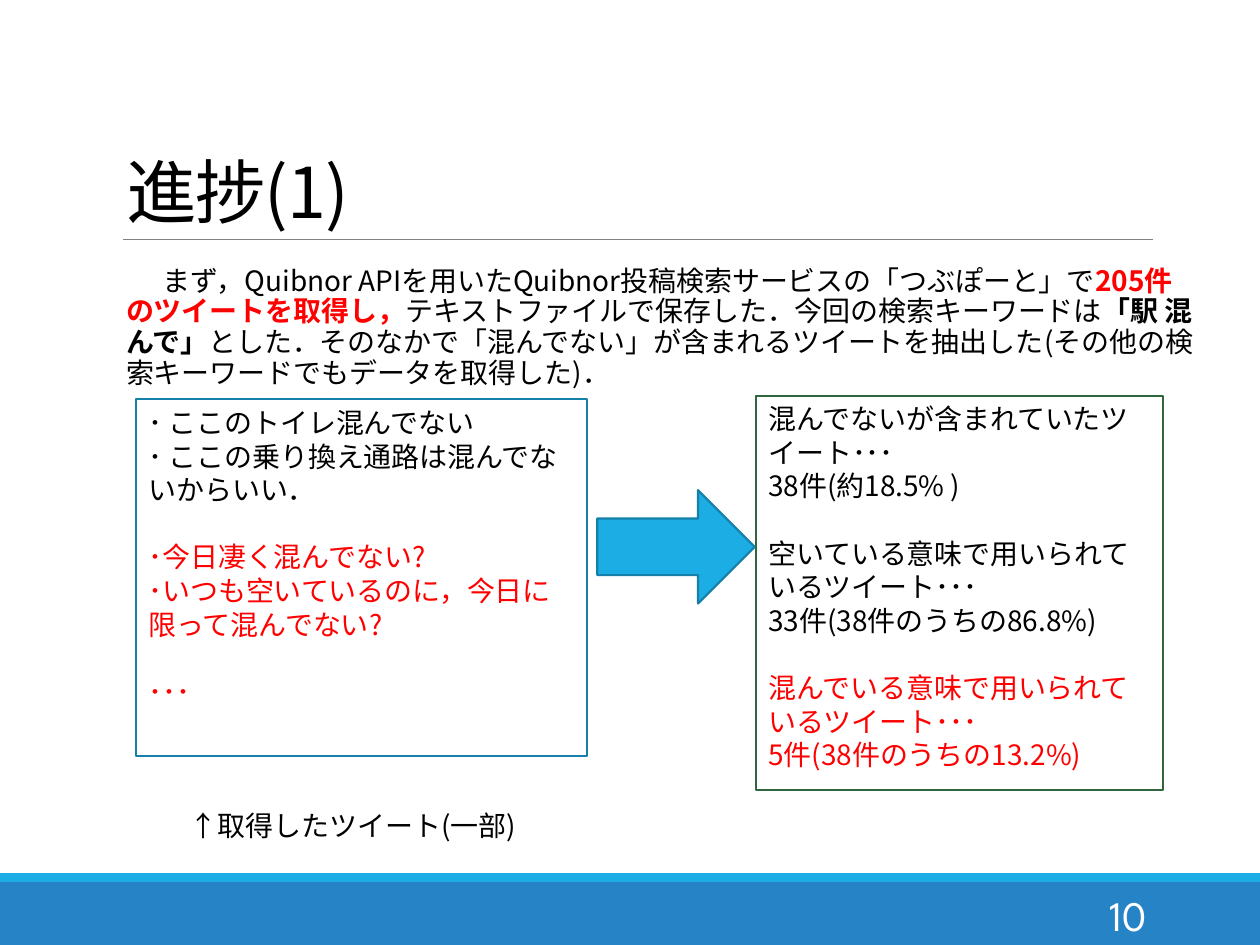
from lxml.etree import SubElement
from pptx import Presentation
from pptx.dml.color import RGBColor
from pptx.enum.shapes import MSO_CONNECTOR, MSO_SHAPE
from pptx.enum.text import MSO_ANCHOR, MSO_AUTO_SIZE, PP_ALIGN
from pptx.oxml.ns import qn
from pptx.util import Inches, Pt

HUES = {"sky": "1CADE4", "blue": "2683C6", "teal": "1580A9", "green": "2F663E",
        "gray": "808080", "red": "FF0000", "black": "000000", "white": "FFFFFF"}
SANS = "Noto Sans CJK JP"
LINE = Pt(19.2)

deck = Presentation()
deck.slide_width, deck.slide_height = Inches(10), Inches(7.5)
slide = deck.slides.add_slide(deck.slide_layouts[1])
shapes = slide.shapes


def write(para, text, size=16, font=SANS, hue="black", bold=False, track=None):
    run = para.add_run()
    run.text = text
    run.font.size = Pt(size)
    run.font.bold = bold
    run.font.color.rgb = RGBColor.from_string(HUES[hue])
    run.font.name = font
    props = run.font._element
    SubElement(props, qn("a:ea")).set("typeface", font)
    if track:
        props.set("spc", str(track))


def draw(kind, place, fill, edge=None):
    shape = shapes.add_shape(kind, *map(Inches, place))
    shape.shadow.inherit = False
    shape.fill.solid()
    shape.fill.fore_color.rgb = RGBColor.from_string(HUES[fill])
    if edge:
        shape.line.color.rgb = RGBColor.from_string(HUES[edge])
        shape.line.width = Pt(1.25)
    else:
        shape.line.fill.background()
    return shape


# Footer bands and title rule
draw(MSO_SHAPE.RECTANGLE, (0, 7, 10, 0.5), "blue")
draw(MSO_SHAPE.RECTANGLE, (0, 6.93, 10, 0.07), "sky")
rule = shapes.add_connector(MSO_CONNECTOR.STRAIGHT, *map(Inches, (0.98, 1.9, 9.15, 1.9)))
rule.line.color.rgb = RGBColor.from_string(HUES["gray"])
rule.line.width = Pt(0.5)
SubElement(rule._element.spPr, qn("a:effectLst"))

# Title and body
title, body = shapes.title, slide.placeholders[1]
for holder, place in ((title, (0.9, 1.05, 8.25, 0.85)), (body, (0.9, 2.06, 8.58, 1.1))):
    holder.left, holder.top, holder.width, holder.height = map(Inches, place)
    holder.text_frame.auto_size = MSO_AUTO_SIZE.NONE
    holder.text_frame.word_wrap = True

title.text_frame.vertical_anchor = MSO_ANCHOR.BOTTOM
head = title.text_frame.paragraphs[0]
head.alignment = PP_ALIGN.LEFT
head.line_spacing = 0.85
write(head, "進捗(1)", size=40, track=-50)

body.text_frame.margin_left = body.text_frame.margin_right = 0
lead = body.text_frame.paragraphs[0]
lead.line_spacing = Pt(17.6)
lead.space_before = Pt(0)
props = lead._p.get_or_add_pPr()
props.set("marL", str(Inches(0.1)))
props.set("indent", str(Inches(0.29)))
SubElement(props, qn("a:buNone"))
for text, hue, bold in (
    ("まず，Quibnor APIを用いたQuibnor投稿検索サービスの「つぶぽーと」で", "black", False),
    ("205件のツイートを取得し，", "red", True),
    ("テキストファイルで保存した．今回の検索キーワードは", "black", False),
    ("「駅 混んで」", "black", True),
    ("とした．そのなかで「混んでない」が含まれるツイートを抽出した"
     "(その他の検索キーワードでもデータを取得した)．", "black", False),
):
    write(lead, text, hue=hue, bold=bold)

# Boxes: each group of lines is set off by one line of space
boxes = (
    ((1.08, 3.17, 3.58, 2.83), "teal", (
        ("black", ("･ ここのトイレ混んでない", "･ ここの乗り換え通路は混んでないからいい．")),
        ("red", ("･今日凄く混んでない?", "･いつも空いているのに，今日に 限って混んでない?")),
        ("red", ("･･･",)))),
    ((6, 3.14, 3.23, 3.13), "green", (
        ("black", ("混んでないが含まれていたツイート･･･", "38件(約18.5% )")),
        ("black", ("空いている意味で用いられているツイート･･･", "33件(38件のうちの86.8%)")),
        ("red", ("混んでいる意味で用いられているツイート･･･", "5件(38件のうちの13.2%)")))),
)
for place, edge, groups in boxes:
    frame = draw(MSO_SHAPE.RECTANGLE, place, "white", edge).text_frame
    frame.word_wrap = True
    frame.vertical_anchor = MSO_ANCHOR.TOP
    for g, (hue, lines) in enumerate(groups):
        for n, text in enumerate(lines):
            para = frame.add_paragraph() if g or n else frame.paragraphs[0]
            para.alignment = PP_ALIGN.LEFT
            para.line_spacing = LINE
            para.space_before = LINE if g and not n else Pt(0)
            write(para, text, hue=hue)

# Arrow between the boxes
draw(MSO_SHAPE.RIGHT_ARROW, (4.74, 3.89, 1.25, 0.9), "sky", "teal")

# Caption and page number
note = shapes.add_textbox(*map(Inches, (1.41, 6.37, 3.2, 0.4))).text_frame
note.word_wrap = True
note.paragraphs[0].line_spacing = LINE
write(note.paragraphs[0], "↑取得したツイート(一部)")

page = shapes.add_textbox(*map(Inches, (8.12, 7.06, 1.08, 0.4))).text_frame
page.word_wrap = True
page.vertical_anchor = MSO_ANCHOR.MIDDLE
page.paragraphs[0].alignment = PP_ALIGN.RIGHT
write(page.paragraphs[0], "10", size=24, font="League Spartan", hue="white")

deck.save("out.pptx")
